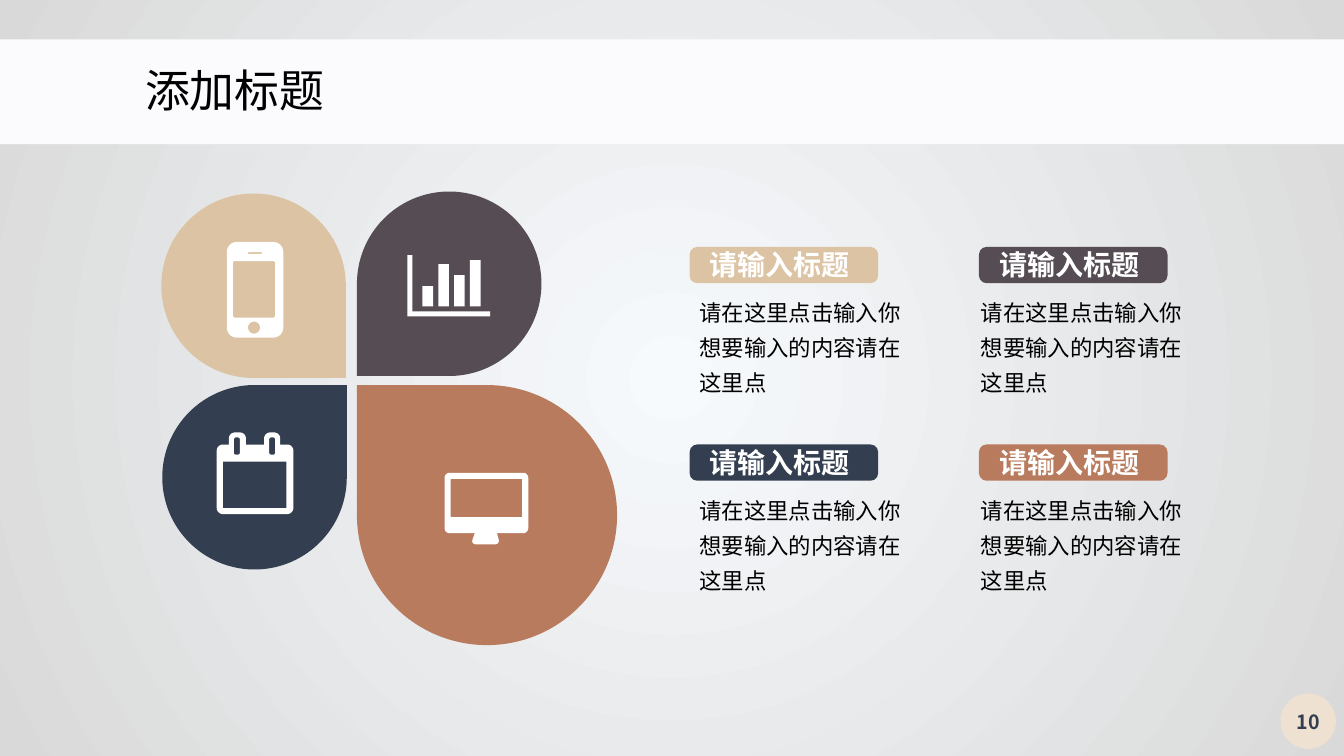
from pptx import Presentation
from pptx.dml.color import RGBColor
from pptx.enum.shapes import MSO_SHAPE
from pptx.enum.text import MSO_ANCHOR, MSO_AUTO_SIZE, PP_ALIGN
from pptx.oxml import parse_xml
from pptx.oxml.ns import nsdecls, qn
from pptx.util import Inches, Pt

FONT = "Noto Sans CJK SC"
SAND, PLUM, NAVY, RUST = "DCC3A4", "554D53", "333F50", "B87B5D"
WHITE, BLACK = "FFFFFF", "000000"


def paint(shape, tint):
    shape.fill.solid()
    shape.fill.fore_color.rgb = RGBColor.from_string(tint)
    shape.line.fill.background()
    shape.shadow.inherit = False


def curve(points, radius):
    spots = [complex(x, y) for x, y in points]
    trace = []
    for i, spot in enumerate(spots):
        back, ahead = spots[i - 1] - spot, spots[(i + 1) % len(spots)] - spot
        convex = (back.conjugate() * ahead).imag < 0
        if not radius or not convex:
            trace.append(spot)
            continue
        back, ahead = back / abs(back) * radius, ahead / abs(ahead) * radius
        for step in range(9):
            t = step / 8
            u = 1 - t
            trace.append(spot + back * (u**3 + 1.35 * u * u * t)
                         + ahead * (t**3 + 1.35 * t * t * u))
    return [(p.real * 1000, p.imag * 1000) for p in trace]


deck = Presentation()
deck.slide_width, deck.slide_height = Inches(13.33), Inches(7.5)
slide = deck.slides.add_slide(deck.slide_layouts[6])
shapes = slide.shapes

back = slide.background.fill
back.gradient()
for stop, tint in zip(back.gradient_stops, ("F7FAFD", "D9D9D9")):
    stop.color.rgb = RGBColor.from_string(tint)
grad = slide.element.find(".//" + qn("a:gradFill"))
grad.remove(grad.find(qn("a:lin")))
grad.append(parse_xml(
    f'<a:path {nsdecls("a")} path="circle"><a:fillToRect '
    'l="50000" t="50000" r="50000" b="50000"/></a:path>'))

badge = shapes.add_shape(MSO_SHAPE.OVAL, *map(Inches, (12.7, 6.88, 0.55, 0.55)))
paint(badge, "EEE1D2")

drops = [(3.54, 3.82, 2.58, 270, RUST), (3.54, 1.9, 1.83, 180, PLUM),
         (1.61, 3.82, 1.83, 0, NAVY), (1.6, 1.92, 1.83, 90, SAND)]
for left, top, size, turn, tint in drops:
    drop = shapes.add_shape(MSO_SHAPE.TEAR, *map(Inches, (left, top, size, size)))
    drop.rotation = turn
    paint(drop, tint)

date = [([(2.15, 4.41), (2.27, 4.41), (2.27, 4.29), (2.44, 4.29),
          (2.44, 4.41), (2.62, 4.41), (2.62, 4.29), (2.78, 4.29),
          (2.78, 4.41), (2.91, 4.41), (2.91, 5.1), (2.15, 5.1)], 0.06),
        ((2.21, 4.58, 2.84, 5.04), 0),
        ((2.32, 4.34, 2.38, 4.51), 0.02), ((2.67, 4.34, 2.73, 4.51), 0.02)]
screen = [([(4.41, 4.69), (5.24, 4.69), (5.24, 5.29), (4.93, 5.29),
            (4.96, 5.4), (4.67, 5.4), (4.71, 5.29), (4.41, 5.29)], 0.05),
          ((4.47, 4.75, 5.18, 5.13), 0.01)]
chart = [([(4.04, 2.53), (4.09, 2.53), (4.09, 3.09), (4.86, 3.09),
           (4.86, 3.14), (4.04, 3.14)], 0)]
for i, top in enumerate((2.84, 2.62, 2.73, 2.58)):
    left = 4.19 + 0.157 * i
    chart.append(((left, top, left + 0.105, 3.04), 0))
phone = [((2.25, 2.4, 2.81, 3.35), 0.1), ((2.31, 2.59, 2.73, 3.15), 0.02),
         ((2.46, 2.5, 2.6, 2.52), 0.01), ((2.46, 3.19, 2.58, 3.31), 0.06)]
for icon in (date, screen, chart, phone):
    pen = None
    for form, radius in icon:
        if isinstance(form, tuple):
            l, t, r, b = form
            form = [(l, t), (r, t), (r, b), (l, b)]
        trace = curve(form, radius)
        if pen is None:
            pen = shapes.build_freeform(*trace[0], scale=914.4)
        else:
            pen.move_to(*trace[0])
        pen.add_line_segments(trace[1:], close=True)
    paint(pen.convert_to_shape(), WHITE)

texts = [("10", (12.64, 6.96, 0.67, 0.4), 14, NAVY, True)]
for i, tint in enumerate((SAND, PLUM, NAVY, RUST)):
    row, col = divmod(i, 2)
    left, top = 6.84 + 2.87 * col, 2.45 + 1.96 * row
    label = shapes.add_shape(MSO_SHAPE.ROUNDED_RECTANGLE,
                             *map(Inches, (left, top, 1.87, 0.36)))
    label.adjustments[0] = 0.21
    paint(label, tint)
    texts += [("请输入标题", (left + 0.1, top - 0.04, 1.68, 0.44), 20, WHITE, True),
              ("请在这里点击输入你想要输入的内容请在这里点",
               (left - 0.08 * col, top + 0.39, 2.27, 1.15), 16, BLACK, False)]

band = shapes.add_shape(MSO_SHAPE.RECTANGLE, 0, Inches(0.39),
                        deck.slide_width, Inches(1.04))
paint(band, "FBFBFE")
texts.append(("添加标题", (1.34, 0.57, 2.2, 0.64), 32, BLACK, False))

for words, place, size, tint, bold in texts:
    frame = shapes.add_textbox(*map(Inches, place)).text_frame
    frame.word_wrap = True
    frame.text = words
    line = frame.paragraphs[0]
    if size == 14:
        frame.vertical_anchor = MSO_ANCHOR.MIDDLE
        line.alignment = PP_ALIGN.CENTER
    else:
        frame.auto_size = MSO_AUTO_SIZE.SHAPE_TO_FIT_TEXT
    if size == 16:
        line.line_spacing = 1.3
    run = line.runs[0]
    run.font.size, run.font.bold, run.font.name = Pt(size), bold, FONT
    run.font.color.rgb = RGBColor.from_string(tint)
    run.font.fill.solid()
    run._r.get_or_add_rPr().append(
        parse_xml(f'<a:ea {nsdecls("a")} typeface="{FONT}"/>'))

deck.save("out.pptx")
